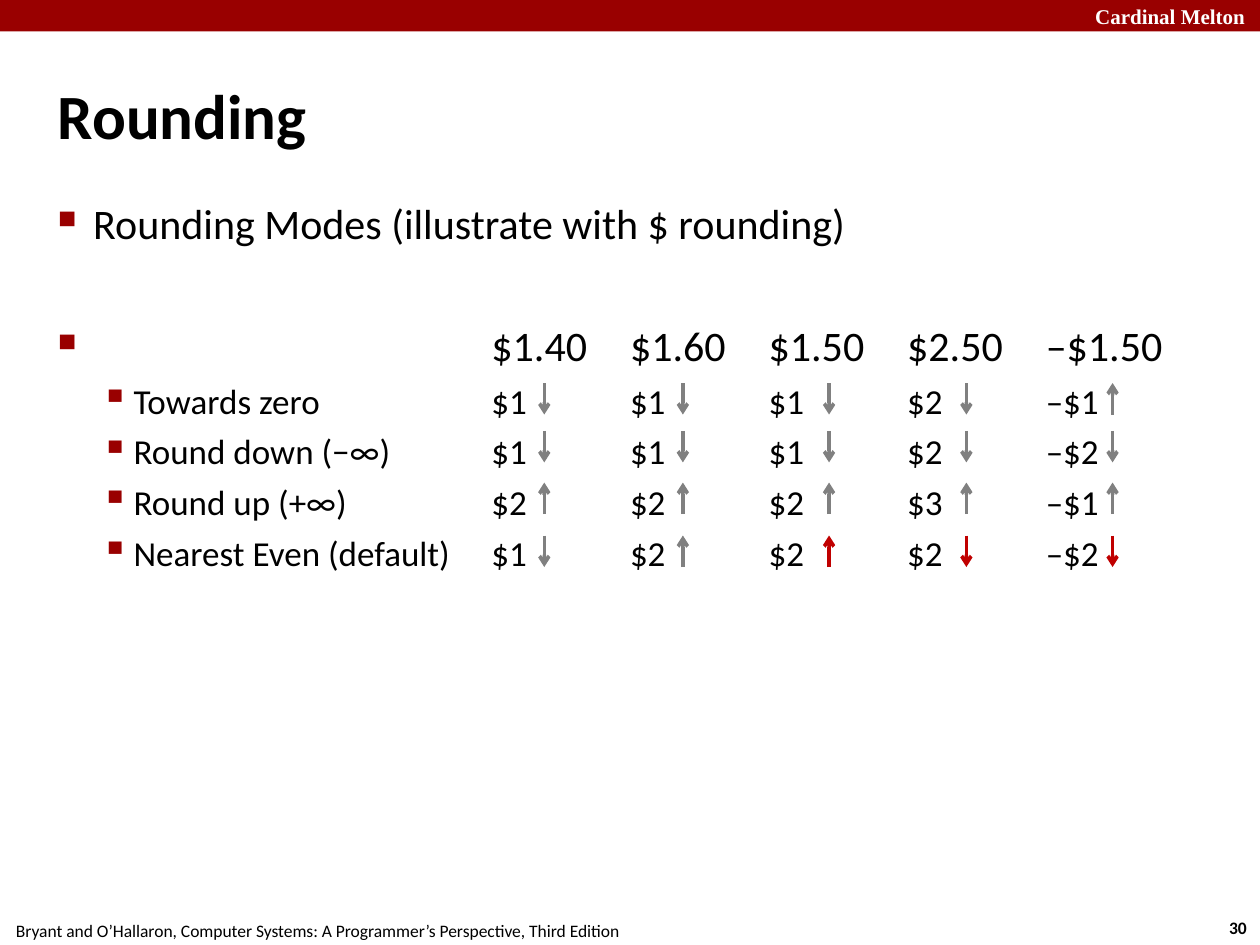
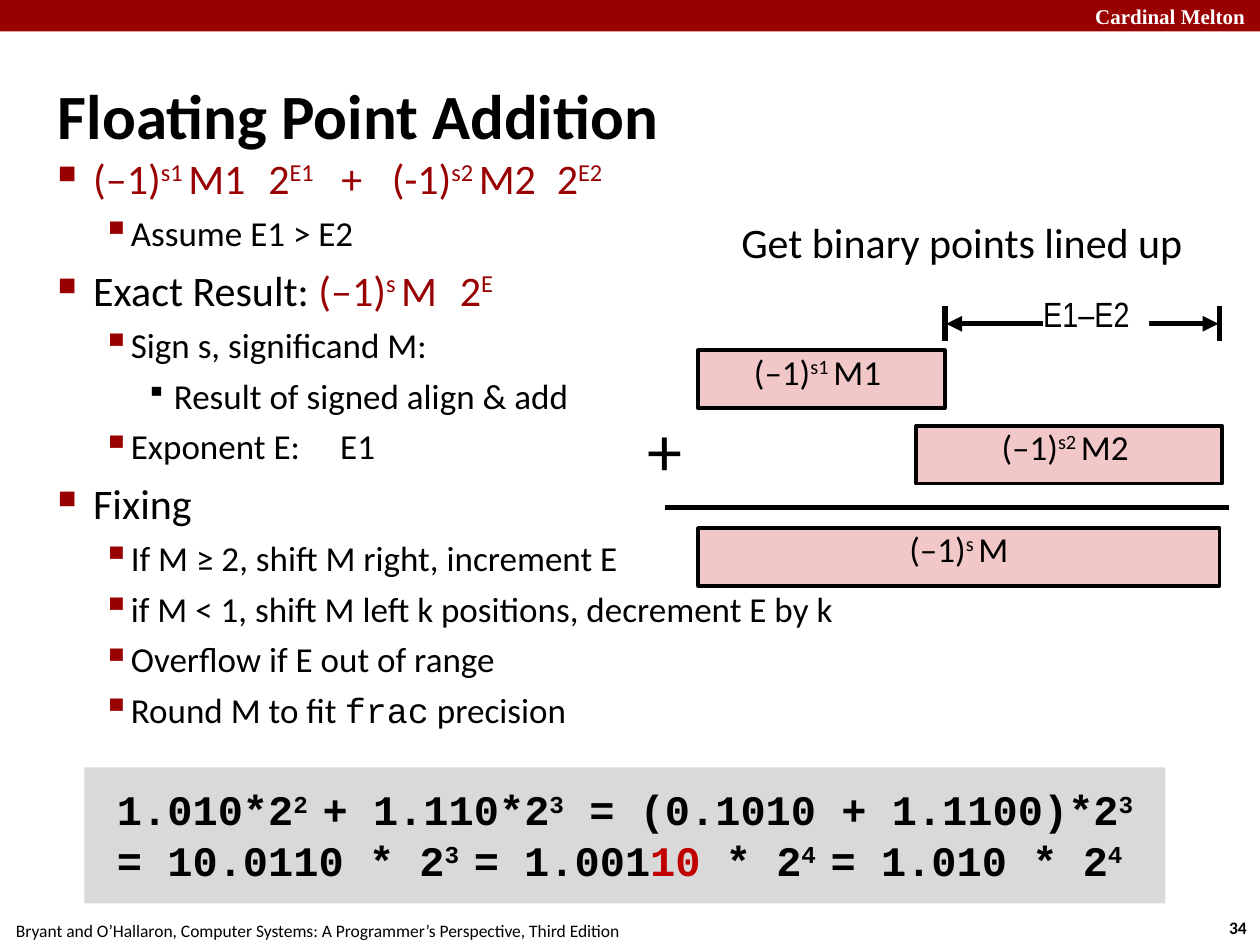
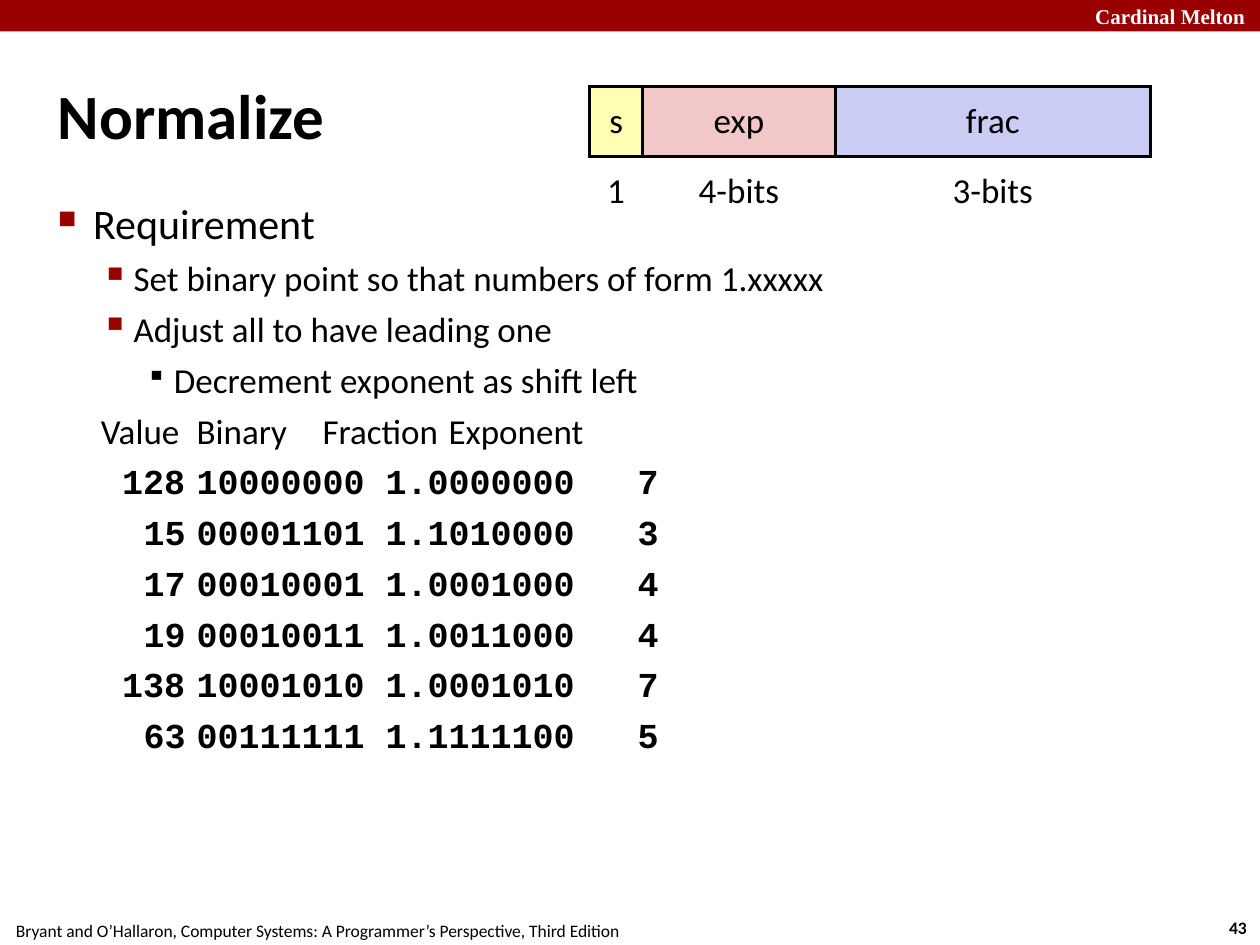
from dataclasses import dataclass
from typing import NamedTuple, Optional, Sequence

from lxml.etree import SubElement
from pptx import Presentation
from pptx.dml.color import RGBColor
from pptx.enum.shapes import MSO_CONNECTOR, MSO_SHAPE
from pptx.enum.text import MSO_ANCHOR, PP_ALIGN
from pptx.oxml.ns import qn
from pptx.util import Inches, Pt

CRIMSON = RGBColor(0x99, 0x00, 0x00)
FORMULA_RED = RGBColor(0x98, 0x00, 0x02)
ACCENT_RED = RGBColor(0xC0, 0x00, 0x00)
BLACK = RGBColor(0x00, 0x00, 0x00)
WHITE = RGBColor(0xFF, 0xFF, 0xFF)
GRAY = RGBColor(0x80, 0x80, 0x80)
LIGHT_GRAY = RGBColor(0xD9, 0xD9, 0xD9)
PINK = RGBColor(0xF1, 0xC7, 0xC7)
YELLOW = RGBColor(0xFF, 0xFE, 0xB2)
LAVENDER = RGBColor(0xCB, 0xCC, 0xF3)

SANS = "Calibri"
NARROW = "Arial Narrow"
MONO = "Courier New"
SERIF = "Times New Roman"

INSTITUTION = "Cardinal Melton"
CITATION = "Bryant and O’Hallaron, Computer Systems: A Programmer’s Perspective, Third Edition"
MONO_CHAR_WIDTH = 0.17


class Box(NamedTuple):
    left: float
    top: float
    width: float
    height: float


class Point(NamedTuple):
    x: float
    y: float


@dataclass(frozen=True)
class Style:
    size: int
    font: str = SANS
    color: RGBColor = BLACK
    bold: bool = False
    raised: int = 32


@dataclass(frozen=True)
class Span:
    text: str
    raised: bool = False
    color: Optional[RGBColor] = None
    font: Optional[str] = None


@dataclass(frozen=True)
class Level:
    depth: int
    margin: float
    indent: float
    before: int
    size: int
    mark: str = ""
    mark_color: RGBColor = CRIMSON
    mark_percent: int = 100


@dataclass(frozen=True)
class Item:
    level: Level
    spans: Sequence[Span]
    tabs: Sequence[float] = ()
    font: str = SANS
    bold: bool = False
    before: Optional[int] = None
    indent: Optional[float] = None


@dataclass(frozen=True)
class RoundingMode:
    name: str
    results: Sequence[str]
    arrows: str
    arrow_top: float


@dataclass(frozen=True)
class Field:
    name: str
    bits: str
    width: float
    fill: RGBColor


TOPIC = Level(0, 0.28, -0.28, 6, 24, "■", CRIMSON, 60)
POINT = Level(1, 0.6, -0.26, 5, 20, "▪", CRIMSON, 110)
TIGHT_POINT = Level(1, 0.35, 0, 5, 20, "▪", CRIMSON, 110)
DETAIL = Level(2, 0.92, -0.22, 5, 20, "▪", BLACK, 80)
UNMARKED = Level(1, 0.6, -0.26, 5, 20)

BODY = Box(0.42, 1.53, 9.17, 5.94)


def emu(length: float) -> str:
    return str(int(Inches(length)))


def plain(text: str) -> list[Span]:
    return [Span(text)]


def formula(markup: str, color: Optional[RGBColor] = None) -> list[Span]:
    return [Span(part, bool(i % 2), color) for i, part in enumerate(markup.split("^")) if part]


def write_spans(paragraph, spans: Sequence[Span], style: Style) -> None:
    for span in spans:
        run = paragraph.add_run()
        run.text = span.text
        run.font.size = Pt(style.size)
        run.font.name = span.font or style.font
        run.font.bold = style.bold
        run.font.color.rgb = span.color or style.color
        if span.raised:
            run._r.get_or_add_rPr().set("baseline", str(style.raised * 1000))


def set_margins(frame, side: float, edge: float) -> None:
    frame.margin_left = frame.margin_right = Inches(side)
    frame.margin_top = frame.margin_bottom = Inches(edge)


def add_text(slide, box: Box, lines: Sequence[Sequence[Span]], style: Style,
             align=PP_ALIGN.LEFT, wrap: bool = False, inset: Optional[float] = None,
             anchor=MSO_ANCHOR.TOP):
    frame = slide.shapes.add_textbox(*map(Inches, box)).text_frame
    frame.word_wrap = wrap
    frame.vertical_anchor = anchor
    if inset is not None:
        set_margins(frame, inset, inset)
    for number, spans in enumerate(lines):
        paragraph = frame.add_paragraph() if number else frame.paragraphs[0]
        paragraph.alignment = align
        write_spans(paragraph, spans, style)
    return frame


def add_block(slide, box: Box, fill: RGBColor, outline: Optional[RGBColor] = None,
              spans: Sequence[Span] = (), style: Style = Style(20), align=PP_ALIGN.CENTER):
    block = slide.shapes.add_shape(MSO_SHAPE.RECTANGLE, *map(Inches, box))
    block.shadow.inherit = False
    block.fill.solid()
    block.fill.fore_color.rgb = fill
    if outline is None:
        block.line.fill.background()
    else:
        block.line.color.rgb = outline
        block.line.width = Pt(2)
    if spans:
        frame = block.text_frame
        frame.word_wrap = False
        frame.vertical_anchor = MSO_ANCHOR.TOP
        set_margins(frame, 0, 0)
        frame.paragraphs[0].alignment = align
        write_spans(frame.paragraphs[0], spans, style)


def add_line(slide, start: Point, end: Point, color: RGBColor = BLACK, width: float = 3,
             head: str = "none", tail: str = "none") -> None:
    connector = slide.shapes.add_connector(
        MSO_CONNECTOR.STRAIGHT, *map(Inches, (*start, *end)))
    connector.line.color.rgb = color
    connector.line.width = Pt(width)
    outline = connector.line._get_or_add_ln()
    SubElement(outline, qn("a:headEnd"), type=head)
    SubElement(outline, qn("a:tailEnd"), type=tail)
    SubElement(connector._element.spPr, qn("a:effectLst"))


def format_item(paragraph, item: Item) -> None:
    level = item.level
    paragraph.level = level.depth
    paragraph.space_before = Pt(level.before if item.before is None else item.before)
    properties = paragraph._p.get_or_add_pPr()
    properties.set("marL", emu(level.margin))
    properties.set("indent", emu(level.indent if item.indent is None else item.indent))
    if level.mark:
        mark_color = SubElement(properties, qn("a:buClr"))
        SubElement(mark_color, qn("a:srgbClr"), val=str(level.mark_color))
        SubElement(properties, qn("a:buSzPct"), val=str(level.mark_percent * 1000))
        SubElement(properties, qn("a:buChar"), char=level.mark)
    else:
        SubElement(properties, qn("a:buNone"))
    if item.tabs:
        tab_list = SubElement(properties, qn("a:tabLst"))
        for position in item.tabs:
            SubElement(tab_list, qn("a:tab"), pos=emu(position), algn="l")


def add_body(slide, box: Box, items: Sequence[Item]) -> None:
    frame = slide.shapes.add_textbox(*map(Inches, box)).text_frame
    frame.word_wrap = True
    set_margins(frame, 0.04, 0.04)
    for number, item in enumerate(items):
        paragraph = frame.add_paragraph() if number else frame.paragraphs[0]
        format_item(paragraph, item)
        write_spans(paragraph, item.spans, Style(item.level.size, item.font, bold=item.bold))


def add_lecture_slide(deck, title: str, number: int):
    slide = deck.slides.add_slide(deck.slide_layouts[6])
    add_text(slide, Box(9.64, 7.23, 0.37, 0.27), [plain(str(number))],
             Style(10, bold=True), PP_ALIGN.CENTER)
    add_text(slide, Box(-0.02, 7.25, 5.08, 0.27), [plain(CITATION)],
             Style(10), PP_ALIGN.CENTER)
    add_block(slide, Box(0, 0, 10, 0.25), CRIMSON)
    add_text(slide, Box(8.59, -0.02, 1.39, 0.3), [plain(INSTITUTION)],
             Style(12, SERIF, WHITE, bold=True), PP_ALIGN.RIGHT)
    add_text(slide, Box(0.42, 0.28, 9.17, 1.25), [plain(title)], Style(36, bold=True),
             wrap=True, inset=0.04, anchor=MSO_ANCHOR.MIDDLE)
    return slide


def build_rounding(deck) -> None:
    slide = add_lecture_slide(deck, "Rounding", 30)
    amounts = ["$1.40", "$1.60", "$1.50", "$2.50", "–$1.50"]
    nearest = RoundingMode("Nearest Even (default)", ["$1", "$2", "$2", "$2", "–$2"], "↓↑↑↓↓", 4.25)
    modes = [
        RoundingMode("Towards zero", ["$1", "$1", "$1", "$2", "–$1"], "↓↓↓↓↑", 3.04),
        RoundingMode("Round down (−∞)", ["$1", "$1", "$1", "$2", "–$2"], "↓↓↓↓↓", 3.42),
        RoundingMode("Round up (+∞)", ["$2", "$2", "$2", "$3", "–$1"], "↑↑↑↑↑", 3.83),
        nearest,
    ]
    tabs = [3.44 + 1.1 * column for column in range(len(amounts))]
    add_body(slide, BODY, [
        Item(TOPIC, plain("Rounding Modes (illustrate with $ rounding)")),
        Item(TOPIC, plain("\t".join(["", *amounts])), tabs, before=41),
        *(Item(POINT, plain("\t".join([mode.name, *mode.results])), tabs) for mode in modes),
    ])
    arrow_columns = [4.32, 5.42, 6.58, 7.67, 8.83]
    for mode in modes:
        for amount, x, direction in zip(amounts, arrow_columns, mode.arrows):
            upper, lower = Point(x, mode.arrow_top), Point(x, mode.arrow_top + 0.25)
            start, end = (lower, upper) if direction == "↑" else (upper, lower)
            is_tie = mode is nearest and amount.endswith(".50")
            add_line(slide, start, end, ACCENT_RED if is_tie else GRAY, 2, tail="arrow")


def build_addition(deck) -> None:
    slide = add_lecture_slide(deck, "Floating Point Addition", 34)
    add_body(slide, Box(0.42, 1.17, 9.17, 4.75), [
        Item(TOPIC, formula("(–1)^s1 ^M1\t2^E1^\t+\t(-1)^s2 ^M2\t2^E2", FORMULA_RED),
             [1.67, 2.25, 2.65, 3.96]),
        Item(TIGHT_POINT, plain("Assume E1 > E2")),
        Item(TOPIC, [Span("Exact Result: "), *formula("(–1)^s ^M\t2^E", FORMULA_RED)], [3.19]),
        Item(TIGHT_POINT, plain("Sign s, significand M:")),
        Item(DETAIL, plain("Result of signed align & add")),
        Item(TIGHT_POINT, plain("Exponent E:\tE1"), [2.24]),
        Item(TOPIC, plain("Fixing")),
        Item(TIGHT_POINT, plain("If M ≥ 2, shift M right, increment E")),
        Item(TIGHT_POINT, plain("if M < 1, shift M left k positions, decrement E by k")),
        Item(TIGHT_POINT, plain("Overflow if E out of range")),
        Item(TIGHT_POINT, [Span("Round M to fit "), Span("frac", font=MONO), Span(" precision")]),
    ])

    operands = [
        (Box(5.54, 2.78, 1.96, 0.46), "(–1)^s1 ^M1 "),
        (Box(7.27, 3.38, 2.43, 0.46), "(–1)^s2 ^M2 "),
        (Box(5.54, 4.19, 4.14, 0.46), "(–1)^s ^M"),
    ]
    for box, markup in operands:
        add_block(slide, box, PINK, BLACK, formula(markup))
    for x in (7.5, 9.68):
        add_line(slide, Point(x, 2.43), Point(x, 2.71))
    add_line(slide, Point(7.51, 2.57), Point(9.67, 2.57), head="triangle", tail="triangle")
    add_block(slide, Box(8.28, 2.32, 0.84, 0.34), WHITE, None, plain("E1–E2"),
              Style(20, NARROW), PP_ALIGN.LEFT)
    add_text(slide, Box(5.14, 3.23, 0.28, 0.67), [plain("+")], Style(40),
             PP_ALIGN.CENTER, inset=0)
    add_line(slide, Point(5.28, 4.03), Point(9.75, 4.03))
    add_text(slide, Box(5.75, 1.67, 3.77, 0.5), [plain("Get binary points lined up")],
             Style(24), PP_ALIGN.CENTER)

    add_block(slide, Box(0.67, 6.09, 8.58, 1.08), LIGHT_GRAY)
    add_text(slide, Box(0.83, 6.17, 8.47, 0.91), [
        formula("1.010*2^2 ^+ 1.110*2^3^ = (0.1010 + 1.1100)*2^3"),
        [*formula("= 10.0110 * 2^3 ^= 1.001"), Span("10 ", color=ACCENT_RED),
         *formula("* 2^4 ^= 1.010 * 2^4")],
    ], Style(24, MONO, bold=True, raised=30))


def set_cell_borders(cell, visible: Sequence[str]) -> None:
    properties = cell._tc.get_or_add_tcPr()
    for position, side in enumerate(("lnL", "lnR", "lnT", "lnB")):
        border = properties.makeelement(qn(f"a:{side}"), {"w": str(int(Pt(2)))})
        properties.insert(position, border)
        if side in visible:
            fill = SubElement(border, qn("a:solidFill"))
            SubElement(fill, qn("a:srgbClr"), val=str(BLACK))
        else:
            SubElement(border, qn("a:noFill"))


def add_format_table(slide, fields: Sequence[Field]) -> None:
    box = Box(4.68, 0.69, sum(field.width for field in fields), 1.11)
    table = slide.shapes.add_table(2, len(fields), *map(Inches, box)).table
    table.first_row = table.horz_banding = False
    for column, field in enumerate(fields):
        table.columns[column].width = Inches(field.width)
        for row, label in enumerate((field.name, field.bits)):
            cell = table.cell(row, column)
            set_margins(cell, 0.06, 0.06)
            cell.vertical_anchor = MSO_ANCHOR.MIDDLE
            paragraph = cell.text_frame.paragraphs[0]
            paragraph.alignment = PP_ALIGN.CENTER
            write_spans(paragraph, plain(label), Style(20))
            if row == 0:
                cell.fill.solid()
                cell.fill.fore_color.rgb = field.fill
                set_cell_borders(cell, ("lnL", "lnR", "lnT", "lnB"))
            else:
                cell.fill.background()
                set_cell_borders(cell, ("lnT",))


def build_normalize(deck) -> None:
    slide = add_lecture_slide(deck, "Normalize", 43)
    normalized = [
        ("128", "10000000", "1.0000000", "7"),
        ("15", "00001101", "1.1010000", "3"),
        ("17", "00010001", "1.0001000", "4"),
        ("19", "00010011", "1.0011000", "4"),
        ("138", "10001010", "1.0001010", "7"),
        ("63", "00111111", "1.1111100", "5"),
    ]
    tabs = [1.6 + column for column in range(5)]
    add_body(slide, BODY, [
        Item(TOPIC, plain("Requirement")),
        Item(POINT, plain("Set binary point so that numbers of form 1.xxxxx")),
        Item(POINT, plain("Adjust all to have leading one")),
        Item(DETAIL, plain("Decrement exponent as shift left")),
        Item(UNMARKED, plain("Value\tBinary\tFraction\tExponent"), tabs),
        *(Item(UNMARKED, plain("\t".join(row)), tabs, MONO, True,
               indent=UNMARKED.indent + MONO_CHAR_WIDTH * (4 - len(row[0])))
          for row in normalized),
    ])
    add_format_table(slide, [
        Field("s", "1", 0.42, YELLOW),
        Field("exp", "4-bits", 1.53, PINK),
        Field("frac", "3-bits", 2.5, LAVENDER),
    ])


def main() -> None:
    deck = Presentation()
    deck.slide_width, deck.slide_height = Inches(10), Inches(7.5)
    build_rounding(deck)
    build_addition(deck)
    build_normalize(deck)
    deck.save("out.pptx")


if __name__ == "__main__":
    main()
